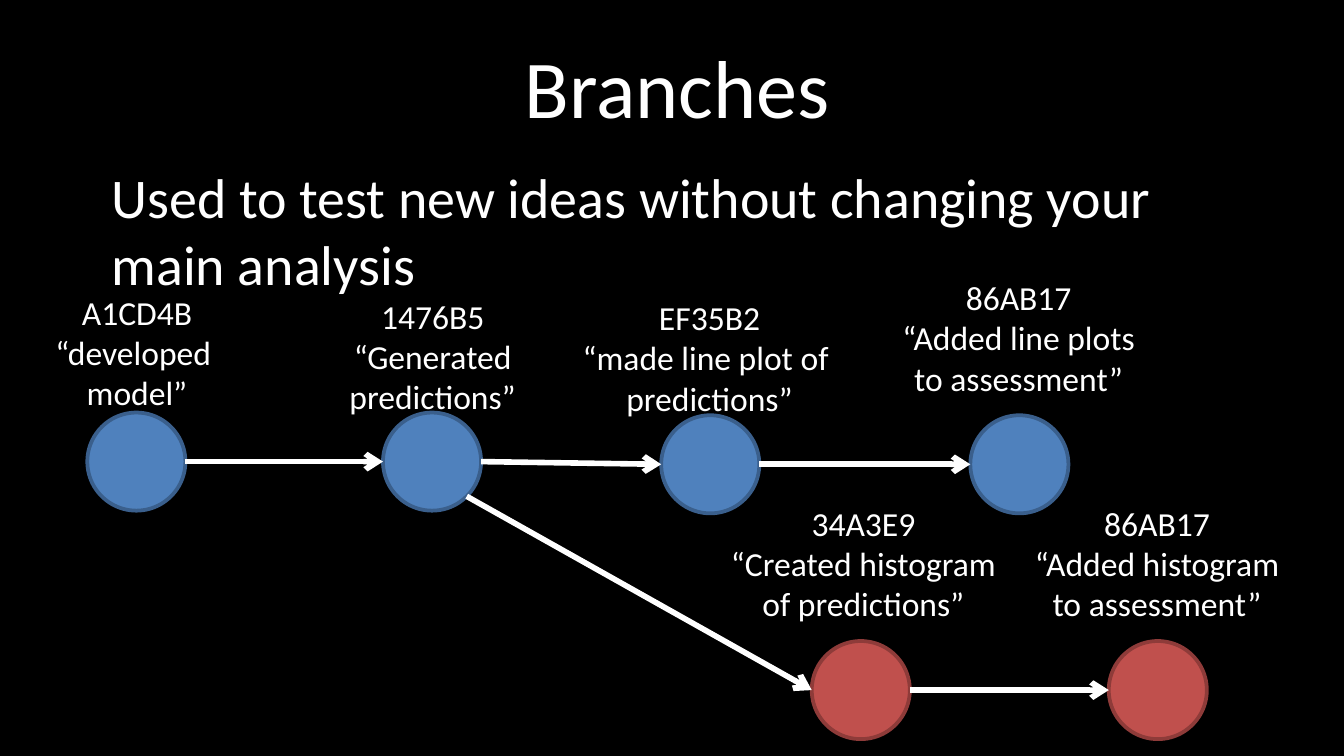
import math
import lxml.etree
import pptx
import pptx.dml.color
import pptx.enum.shapes
import pptx.enum.text
import pptx.oxml.ns
import pptx.util

Inches = pptx.util.Inches
Pt = pptx.util.Pt
ALIGN = pptx.enum.text.PP_ALIGN
ANCHOR = pptx.enum.text.MSO_ANCHOR
WHITE = "FFFFFF"
DIAMETER = 0.73
RADIUS = DIAMETER / 2
LABEL_HEIGHT = 0.98

MAIN_COMMITS = [
    (0, 0, -0.32, -0.94, 1.38, ["A1CD4B", "“developed ", "model”"]),
    (2.2, 0, -0.66, -0.91, 2.06, ["1476B5", "“Generated predictions”"]),
    (4.27, 0.02, -0.67, -0.9, 2.06, ["EF35B2", "“made line plot of ", "predictions”"]),
    (6.57, 0.02, -0.67, -1.05, 2.06, ["86AB17", "“Added line plots to assessment”"]),
]
HISTOGRAM_COMMITS = [
    (0, 0, -0.77, -1.07, 2.31, ["34A3E9", "“Created histogram of predictions”"]),
    (2.21, 0, -0.67, -1.07, 2.06, ["86AB17", "“Added histogram to assessment”"]),
]


def color(value):
    """Turn a hex string into a colour."""
    return pptx.dml.color.RGBColor.from_string(value)


def write(frame, lines, size, align):
    """Fill a text frame with one formatted run per paragraph."""
    frame.word_wrap = True
    for index, line in enumerate(lines):
        paragraph = frame.add_paragraph() if index else frame.paragraphs[0]
        paragraph.alignment = align
        run = paragraph.add_run()
        run.text = line
        run.font.size = Pt(size)
        run.font.name = "Calibri"
        run.font.color.rgb = color(WHITE)


def place(placeholder, left, top, width, height):
    """Move a placeholder into a box."""
    placeholder.left, placeholder.top = Inches(left), Inches(top)
    placeholder.width, placeholder.height = Inches(width), Inches(height)


def add_heading(slide, left, top, width):
    """Place the title and the introductory sentence below it."""
    title, intro = slide.shapes.title, slide.placeholders[1]
    place(title, left, top, width, 1.09)
    title.text_frame.vertical_anchor = ANCHOR.MIDDLE
    write(title.text_frame, ["Branches"], 44, ALIGN.CENTER)
    place(intro, left, top + 1.07, width, 3.57)
    write(intro.text_frame,
          ["Used to test new ideas without changing your main analysis"],
          30, ALIGN.LEFT)
    paragraph = intro.text_frame.paragraphs[0]
    paragraph.space_before = Pt(6)
    properties = paragraph._p.get_or_add_pPr()
    properties.set("marL", "0")
    properties.set("indent", "0")
    lxml.etree.SubElement(properties, pptx.oxml.ns.qn("a:buNone"))


def add_arrow(slide, start, end):
    """Draw a white arrow between two points."""
    arrow = slide.shapes.add_connector(
        pptx.enum.shapes.MSO_CONNECTOR.STRAIGHT,
        *(Inches(value) for value in (*start, *end)))
    arrow.line.color.rgb = color(WHITE)
    arrow.line.width = Pt(3)
    qn = pptx.oxml.ns.qn
    lxml.etree.SubElement(arrow.line._get_or_add_ln(), qn("a:tailEnd"), type="arrow")
    lxml.etree.SubElement(arrow._element.spPr, qn("a:effectLst"))


def add_circle(slide, left, top, fill, outline):
    """Draw the circle of a commit."""
    circle = slide.shapes.add_shape(
        pptx.enum.shapes.MSO_SHAPE.OVAL,
        Inches(left), Inches(top), Inches(DIAMETER), Inches(DIAMETER))
    circle.shadow.inherit = False
    circle.fill.solid()
    circle.fill.fore_color.rgb = color(fill)
    circle.line.color.rgb = color(outline)
    circle.line.width = Pt(2)


def add_label(slide, left, top, width, lines):
    """Write the hash and message of a commit."""
    label = slide.shapes.add_textbox(
        Inches(left), Inches(top), Inches(width), Inches(LABEL_HEIGHT))
    frame = label.text_frame
    frame.margin_left = frame.margin_right = Inches(0.07)
    frame.margin_top = frame.margin_bottom = Inches(0.04)
    frame.auto_size = pptx.enum.text.MSO_AUTO_SIZE.SHAPE_TO_FIT_TEXT
    write(frame, lines, 18, ALIGN.CENTER)


def add_branch(slide, left, top, commits, fill, outline):
    """Draw a row of commits joined by arrows and return the circle centres."""
    centers = []
    for x, y, label_x, label_y, label_width, lines in commits:
        add_circle(slide, left + x, top + y, fill, outline)
        add_label(slide, left + x + label_x, top + label_y, label_width, lines)
        centers.append((left + x + RADIUS, top + y + RADIUS))
    for (x1, y1), (x2, y2) in zip(centers, centers[1:]):
        add_arrow(slide, (x1 + RADIUS, y1), (x2 - RADIUS, y2))
    return centers


def main():
    """Build the slide and save it."""
    deck = pptx.Presentation()
    deck.slide_width = Inches(10)
    deck.slide_height = deck.slide_width * 9 // 16
    slide = deck.slides.add_slide(deck.slide_layouts[1])
    slide.background.fill.solid()
    slide.background.fill.fore_color.rgb = color("000000")
    add_heading(slide, 0.73, 0.09, 8.62)
    main_line = add_branch(slide, 0.65, 3.07, MAIN_COMMITS, "4F81BD", "3A5F8C")
    side_line = add_branch(slide, 6.04, 4.77, HISTOGRAM_COMMITS, "C0504D", "8E3B39")
    fork_x, fork_y = main_line[1]
    side_x, side_y = side_line[0]
    diagonal = RADIUS * math.sqrt(0.5)
    add_arrow(slide, (fork_x + diagonal, fork_y + diagonal), (side_x - RADIUS, side_y))
    deck.save("out.pptx")


if __name__ == "__main__":
    main()
